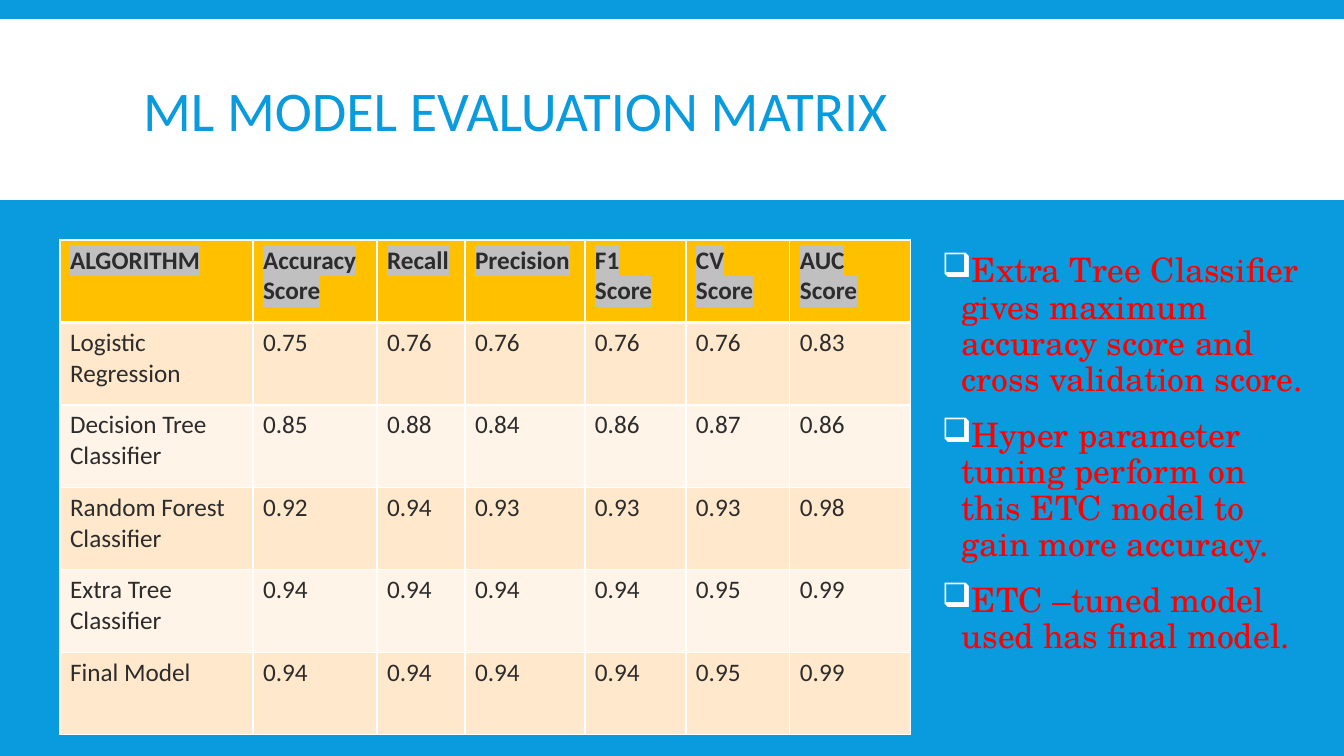
"""Build the slide that compares the scores of the ML models."""
from lxml import etree
from pptx import Presentation
from pptx import util as u
from pptx.dml.color import RGBColor
from pptx.enum import shapes, text
from pptx.oxml.ns import qn

EMU_PER_PX = 914400 / 100.8
BLUE = RGBColor(0x09, 0x9B, 0xDD)
WHITE = RGBColor(0xFF, 0xFF, 0xFF)
RED = RGBColor(0xFF, 0x00, 0x00)
DARK = RGBColor(0x2C, 0x2C, 0x2C)
GREY = RGBColor(0xC0, 0xC0, 0xC0)
AMBER = RGBColor(0xFF, 0xC0, 0x00)
PEACH = RGBColor(0xFF, 0xE8, 0xCC)
CREAM = RGBColor(0xFF, 0xF4, 0xE7)

COLUMN_WIDTHS = [193, 124, 88, 120, 101, 104, 121]
SCORES = [
    ["ALGORITHM", "Accuracy Score", "Recall", "Precision", "F1\nScore", "CV Score", "AUC Score"],
    ["Logistic Regression", "0.75", "0.76", "0.76", "0.76", "0.76", "0.83"],
    ["Decision Tree Classifier", "0.85", "0.88", "0.84", "0.86", "0.87", "0.86"],
    ["Random Forest Classifier", "0.92", "0.94", "0.93", "0.93", "0.93", "0.98"],
    ["Extra Tree Classifier", "0.94", "0.94", "0.94", "0.94", "0.95", "0.99"],
    ["Final Model", "0.94", "0.94", "0.94", "0.94", "0.95", "0.99"],
]
FINDINGS = [
    "Extra Tree Classifier gives maximum accuracy score and cross validation score.",
    "Hyper parameter tuning perform on this ETC model to gain more accuracy.",
    "ETC –tuned model used has final model.",
]


def px(n):
    """Turn pixels into EMU."""
    return u.Emu(round(n * EMU_PER_PX))


def add_run(p, words, font, size, color, bold=False):
    """Add one formatted run to a paragraph."""
    r = p.add_run()
    r.text = words
    r.font.name, r.font.size, r.font.bold = font, u.Pt(size), bold
    r.font.color.rgb = color
    return r


def add_color(parent, tag, color):
    """Append an element that holds one RGB colour."""
    el = etree.SubElement(parent, qn(tag))
    etree.SubElement(el, qn("a:srgbClr"), val=str(color))
    return el


def set_borders(cell, top, bottom):
    """Draw white borders with the given top and bottom widths in points."""
    tcPr = cell._tc.get_or_add_tcPr()
    for side, width in (("L", 1), ("R", 1), ("T", top), ("B", bottom)):
        ln = etree.SubElement(tcPr, qn(f"a:ln{side}"), w=str(u.Pt(width)))
        add_color(ln, "a:solidFill", WHITE)


def add_header(s, x, y, w, h):
    """Place the white band and the slide title on it."""
    band = s.shapes.add_shape(shapes.MSO_SHAPE.RECTANGLE, px(x), px(y), px(w), px(h))
    band.shadow.inherit = False
    band.fill.solid()
    band.fill.fore_color.rgb = WHITE
    band.line.fill.background()
    s.shapes._spTree.insert(2, band._element)

    title = s.shapes.title
    title.left, title.top = px(x + 133), px(y + 12)
    title.width, title.height = px(w - 265), px(h - 15)
    tf = title.text_frame
    tf.vertical_anchor = text.MSO_ANCHOR.MIDDLE
    p = tf.paragraphs[0]
    p.alignment = text.PP_ALIGN.LEFT
    p.line_spacing = 0.85
    add_run(p, "ML MODEL EVALUATION MATRIX", "Calibri", 40, BLUE)


def add_scores(s, x, y, h):
    """Place the table of scores."""
    frame = s.shapes.add_table(len(SCORES), len(COLUMN_WIDTHS), px(x), px(y),
                               px(sum(COLUMN_WIDTHS)), px(h))
    table = frame.table
    for column, width in zip(table.columns, COLUMN_WIDTHS):
        column.width = px(width)
    for i, row in enumerate(SCORES):
        table.rows[i].height = px(h / len(SCORES))
        header = i == 0
        for j, words in enumerate(row):
            cell = table.cell(i, j)
            set_borders(cell, 3 if i == 1 else 1, 3 if header else 1)
            cell.fill.solid()
            cell.fill.fore_color.rgb = AMBER if header else PEACH if i % 2 else CREAM
            tf = cell.text_frame
            for k, line in enumerate(words.split("\n")):
                p = tf.add_paragraph() if k else tf.paragraphs[0]
                r = add_run(p, line, "Calibri", 18, DARK, header)
                if header:
                    rPr = r.font._element
                    rPr.find(qn("a:solidFill")).addnext(add_color(rPr, "a:highlight", GREY))


def add_findings(s, x, y, w, h):
    """Place the bulleted findings."""
    tf = s.shapes.add_textbox(px(x), px(y), px(w), px(h)).text_frame
    tf.word_wrap = True
    for i, finding in enumerate(FINDINGS):
        p = tf.add_paragraph() if i else tf.paragraphs[0]
        p.line_spacing = 0.9
        p.space_before, p.space_after = u.Pt(12), u.Pt(2)
        pPr = p._p.get_or_add_pPr()
        pPr.set("marL", str(px(20)))
        pPr.set("indent", str(-px(20)))
        add_color(pPr, "a:buClr", WHITE)
        etree.SubElement(pPr, qn("a:buChar"), char="❑")
        add_run(p, finding, "TeX Gyre Schola", 24, RED)


def main():
    """Build and save the slide."""
    prs = Presentation()
    prs.slide_width, prs.slide_height = px(1344), px(756)
    s = prs.slides.add_slide(prs.slide_layouts[5])
    s.background.fill.solid()
    s.background.fill.fore_color.rgb = BLUE
    add_header(s, 0, 19, 1344, 181)
    add_findings(s, 932, 249, 390, 464)
    add_scores(s, 60, 240, 495)
    prs.save("out.pptx")


if __name__ == "__main__":
    main()
